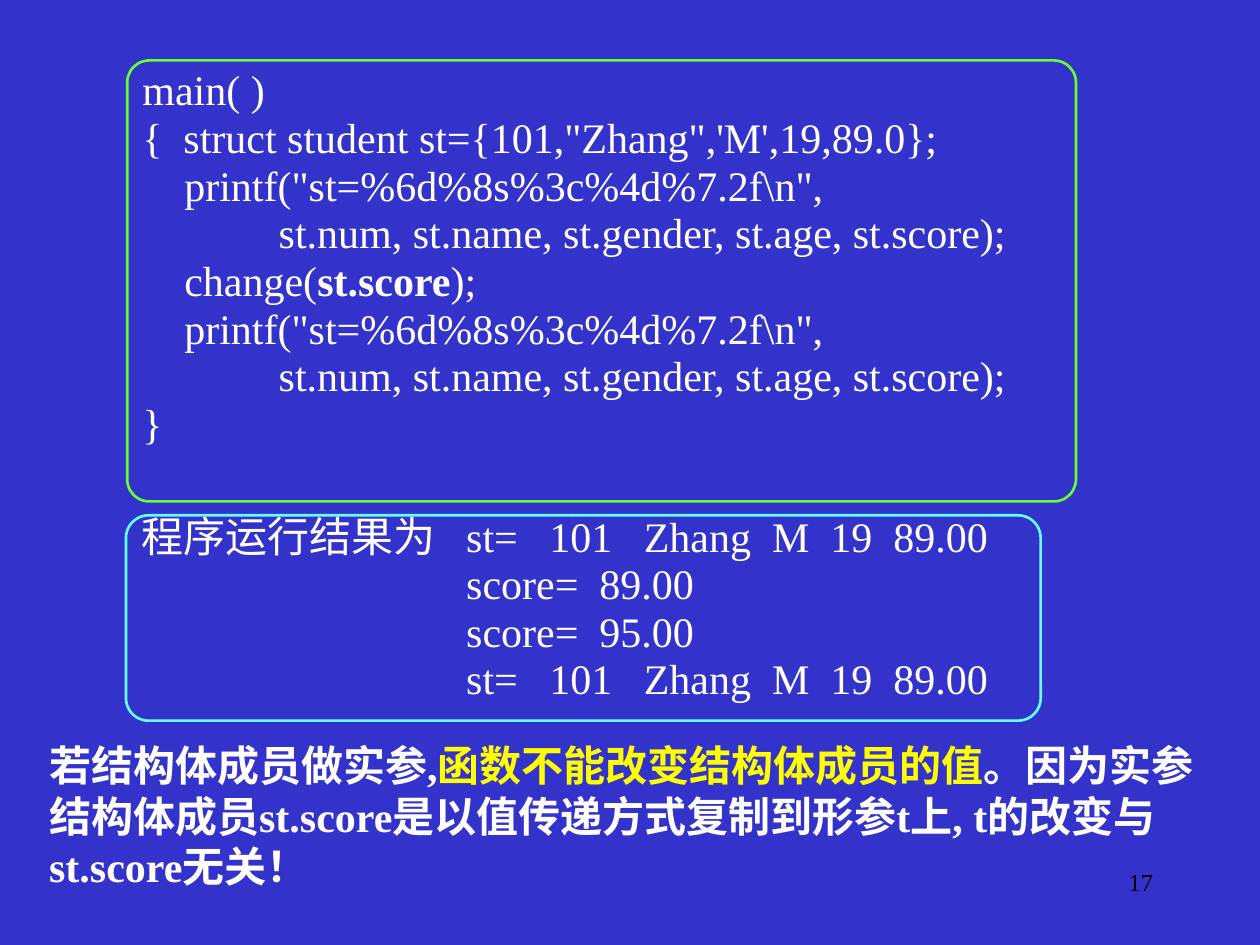
from dataclasses import dataclass

from lxml import etree
from pptx import Presentation
from pptx.dml.color import RGBColor
from pptx.enum.shapes import MSO_SHAPE
from pptx.enum.text import PP_ALIGN
from pptx.oxml.ns import qn
from pptx.util import Inches, Pt

ROUNDED = MSO_SHAPE.ROUNDED_RECTANGLE
RIGHT = PP_ALIGN.RIGHT


@dataclass(frozen=True)
class Theme:
    background: RGBColor = RGBColor(0x33, 0x33, 0xCC)
    text: RGBColor = RGBColor(0xFF, 0xFF, 0xFF)
    emphasis: RGBColor = RGBColor(0xFF, 0xFF, 0x00)
    number: RGBColor = RGBColor(0, 0, 0)
    code_outline: RGBColor = RGBColor(0x66, 0xFF, 0x33)
    result_outline: RGBColor = RGBColor(0x66, 0xFF, 0xFF)
    font: str = "Times New Roman"
    body_size: Pt = Pt(24)
    number_size: Pt = Pt(14)
    line_pitch: Pt = Pt(20)
    line_gap: Pt = Pt(7.2)
    outline_width: Pt = Pt(1.5)


THEME = Theme()

PRINT_LINES = [
    '    printf("st=%6d%8s%3c%4d%7.2f\\n",',
    "             st.num, st.name, st.gender, st.age, st.score);",
]
CODE = [
    "main( )",
    "{  struct student st={101,\"Zhang\",'M',19,89.0};",
    *PRINT_LINES,
    "    change(*st.score*);",
    *PRINT_LINES,
    "}",
]
RECORD = "st=   101   Zhang  M  19  89.00"
RESULT = ["程序运行结果为\t" + RECORD, "score=  89.00", "score=  95.00", RECORD]
CONCLUSION = [
    ("若结构体成员做实参,", THEME.text),
    ("函数不能改变结构体成员的值", THEME.emphasis),
    ("。因为实参结构体成员st.score是以值传递方式复制到形参t上, t的改变与st.score无关！",
     THEME.text),
]


def add_text_frame(shapes, left, top, width, height):
    frame = shapes.add_textbox(left, top, width, height).text_frame
    frame.word_wrap = True
    frame.margin_left = frame.margin_right = Inches(0.04)
    frame.margin_top = frame.margin_bottom = 0
    return frame


def add_run(paragraph, text, color=THEME.text, size=THEME.body_size, bold=False):
    run = paragraph.add_run()
    run.text = text
    run.font.name = THEME.font
    run.font.size = size
    run.font.bold = bold
    run.font.color.rgb = color


def add_lines(frame, lines, hanging=0):
    """Write one paragraph per line; text between asterisks is bold."""
    for index, line in enumerate(lines):
        paragraph = frame.paragraphs[0] if index == 0 else frame.add_paragraph()
        paragraph.line_spacing = THEME.line_pitch
        if index:
            paragraph.space_before = THEME.line_gap
        if hanging:
            properties = paragraph._p.get_or_add_pPr()
            properties.set("marL", str(hanging))
            if index == 0:
                properties.set("indent", str(-hanging))
                tabs = etree.SubElement(properties, qn("a:tabLst"))
                etree.SubElement(tabs, qn("a:tab"), pos=str(hanging), algn="l")
        for part, text in enumerate(line.split("*")):
            add_run(paragraph, text, bold=part % 2 == 1)


def add_outline(shapes, left, top, width, height, color, corner):
    outline = shapes.add_shape(ROUNDED, left, top, width, height)
    outline.adjustments[0] = corner
    outline.shadow.inherit = False
    outline.fill.background()
    outline.line.color.rgb = color
    outline.line.width = THEME.outline_width


def add_code_panel(shapes, left, top, width, height):
    frame = add_text_frame(shapes, left + Inches(0.08), top + Inches(0.15),
                           width, height - Inches(0.4))
    add_lines(frame, CODE)
    add_outline(shapes, left, top, width, height, THEME.code_outline, 0.05)


def add_result_panel(shapes, left, top, width, height):
    panel = shapes.add_group_shape().shapes
    frame = add_text_frame(panel, left + Inches(0.08), top + Inches(0.08),
                           width + Inches(0.05), height - Inches(0.14))
    add_lines(frame, RESULT, hanging=Inches(2.58))
    add_outline(panel, left, top, width, height, THEME.result_outline, 0.11)


def add_conclusion(shapes, left, top, width, height):
    paragraph = add_text_frame(shapes, left, top, width, height).paragraphs[0]
    for text, color in CONCLUSION:
        add_run(paragraph, text, color, bold=True)


def add_slide_number(shapes, left, top, width, height):
    frame = shapes.add_textbox(left, top, width, height).text_frame
    frame.word_wrap = True
    paragraph = frame.paragraphs[0]
    paragraph.alignment = RIGHT
    add_run(paragraph, "17", THEME.number, THEME.number_size)


def main():
    presentation = Presentation()
    presentation.slide_width = Inches(10)
    presentation.slide_height = Inches(7.5)
    slide = presentation.slides.add_slide(presentation.slide_layouts[6])
    slide.background.fill.solid()
    slide.background.fill.fore_color.rgb = THEME.background

    shapes = slide.shapes
    add_code_panel(shapes, Inches(1.01), Inches(0.48), Inches(7.53), Inches(3.5))
    add_result_panel(shapes, Inches(1), Inches(4.09), Inches(7.26), Inches(1.63))
    add_conclusion(shapes, Inches(0.35), Inches(5.87), Inches(9.33), Inches(1.21))
    add_slide_number(shapes, Inches(7.17), Inches(6.83), Inches(2.08), Inches(0.5))
    presentation.save("out.pptx")


if __name__ == "__main__":
    main()
